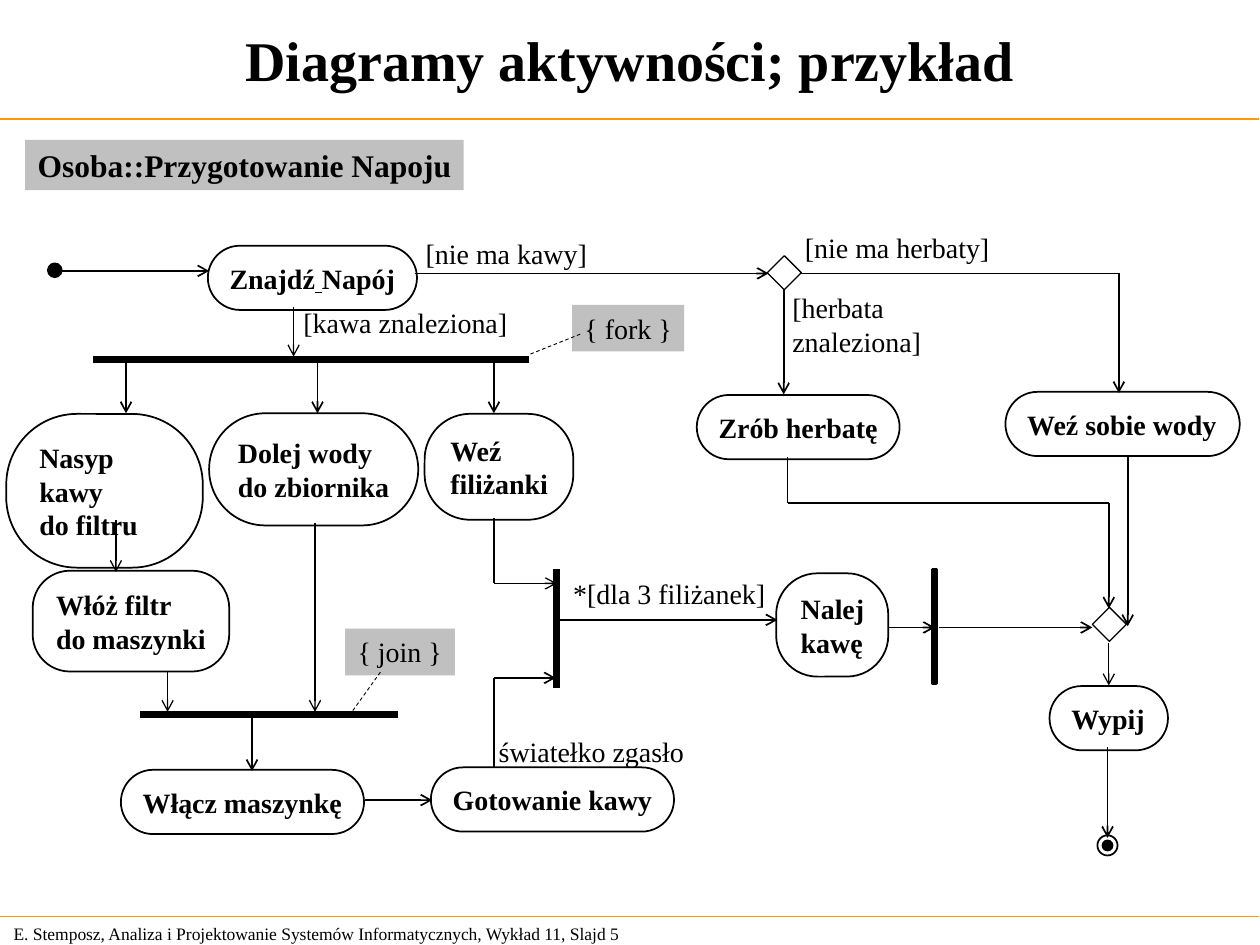
from lxml import etree
from pptx import Presentation
from pptx.dml.color import RGBColor
from pptx.enum.dml import MSO_LINE
from pptx.enum.shapes import MSO_CONNECTOR, MSO_SHAPE
from pptx.enum.text import MSO_ANCHOR, MSO_AUTO_SIZE, PP_ALIGN
from pptx.oxml.ns import qn
from pptx.util import Inches, Pt

STRAIGHT = MSO_CONNECTOR.STRAIGHT
DASH = MSO_LINE.DASH
RECTANGLE = MSO_SHAPE.RECTANGLE
ROUNDED = MSO_SHAPE.ROUNDED_RECTANGLE
ELLIPSE = MSO_SHAPE.OVAL
DIAMOND = MSO_SHAPE.DIAMOND
TOP, MIDDLE = MSO_ANCHOR.TOP, MSO_ANCHOR.MIDDLE
LEFT, CENTER = PP_ALIGN.LEFT, PP_ALIGN.CENTER
NO_FIT = MSO_AUTO_SIZE.NONE

FONT = "Times New Roman"
BLACK, WHITE, GREY, ORANGE = "000000", "FFFFFF", "C0C0C0", "FF9900"
COLUMNS, ROWS = 1000, 750
WIDTH, HEIGHT = Inches(10), Inches(7.5)
WIDE_MARGIN, NARROW_MARGIN = 10, 5

ACTIVITIES = [
    (165, 195, 166, 51, 0.5, None, ["Znajdź| |Napój"]),
    (5, 328.5, 156, 122, 0.46, WHITE, ["Nasyp kawy", "do filtru"]),
    (166, 328, 166, 89, 0.5, WHITE, ["Dolej wody", "do zbiornika"]),
    (26, 453, 156, 80, 0.37, None, ["Włóż filtr", "do maszynki"]),
    (96, 611, 193, 51, 0.5, None, ["Włącz maszynkę"]),
    (342, 609, 193, 51, 0.5, None, ["Gotowanie kawy"]),
    (616, 455, 89, 82, 0.4, None, ["Nalej", "kawę"]),
    (553, 313.5, 161, 51, 0.5, None, ["Zrób herbatę"]),
    (798, 311, 186, 51, 0.5, None, ["Weź sobie wody"]),
    (337, 328.5, 118, 84, 0.43, None, ["Weź", "filiżanki"]),
    (833, 544.5, 94, 51, 0.5, None, ["Wypij"]),
]
GUARDS = [
    (328, 183, 148, 36, ["[nie ma kawy]"]),
    (231, 238, 182, 36, ["[kawa znaleziona]"]),
    (629, 178, 166, 36, ["[nie ma herbaty]"]),
    (619, 226, 122, 63, ["[herbata", "znaleziona]"]),
    (386, 578, 167, 36, ["światełko zgasło"]),
    (445, 453, 172, 37, ["*[dla 3 filiżanek]"]),
]
TAGS = [
    (20, 111, 348, 40, "Osoba::Przygotowanie Napoju", 18, True),
    (454, 242, 89, 37, "{ fork }", 16, False),
    (274, 499, 87, 37, "{ join }", 16, False),
]
BARS = [
    [(74, 285), (420, 285)],
    [(111, 567), (316, 567)],
    [(442, 452), (442, 546)],
]
FLOWS = [
    [(44, 215), (166, 215)],
    [(329, 217), (610, 217)],
    [(200, 569), (200, 612)],
    [(290, 635), (343, 635)],
    [(392, 609), (392, 538), (441, 538)],
    [(442, 492), (617, 492)],
    [(705, 498), (742, 498)],
    [(745, 498), (867, 498)],
    [(879, 593), (879, 665)],
    [(622, 223), (622, 313)],
    [(630, 217), (888, 217), (888, 312)],
    [(895, 361), (895, 497)],
    [(625, 363), (625, 399), (880, 399), (880, 483)],
] + [[(column, 288), (column, 328)] for column in (100, 252, 392)]
THIN_FLOWS = [
    [(233, 244), (233, 283)],
    [(92, 413), (92, 454)],
    [(133, 533), (133, 565)],
    [(250, 415), (250, 565)],
    [(392, 411), (392, 463), (442, 463)],
    [(880, 510), (880, 544)],
]
NOTES = [[(421, 281), (461, 265)], [(280, 564), (303, 532)]]


def color(value):
    return RGBColor.from_string(value)


def across(columns):
    return round(WIDTH * columns / COLUMNS)


def down(rows):
    return round(HEIGHT * rows / ROWS)


def box(left, top, width, height):
    return across(left), down(top), across(width), down(height)


def write(shape, lines, size, bold=False, margin=NARROW_MARGIN, anchor=TOP, align=LEFT):
    frame = shape.text_frame
    frame.word_wrap = True
    frame.auto_size = NO_FIT
    frame.margin_right = across(margin)
    frame.vertical_anchor = anchor
    for index, line in enumerate(lines):
        paragraph = frame.add_paragraph() if index else frame.paragraphs[0]
        paragraph.alignment = align
        for part in line.split("|"):
            run = paragraph.add_run()
            run.text = part
            run.font.name = FONT
            run.font.size = Pt(size)
            run.font.bold = bold
            run.font.underline = part == " "
            run.font.color.rgb = color(BLACK)


def add_shape(slide, kind, place, fill=None, line=1):
    shape = slide.shapes.add_shape(kind, *box(*place))
    shape.shadow.inherit = False
    if fill:
        shape.fill.solid()
        shape.fill.fore_color.rgb = color(fill)
    else:
        shape.fill.background()
    if line:
        shape.line.color.rgb = color(BLACK)
        shape.line.width = Pt(line)
    else:
        shape.line.fill.background()
    return shape


def add_activity(slide, place, corner, fill, lines):
    shape = add_shape(slide, ROUNDED, place, fill)
    shape.adjustments[0] = corner
    margin = WIDE_MARGIN if lines[0] == "Nasyp kawy" else NARROW_MARGIN
    write(shape, lines, 16, bold=True, margin=margin)


def add_text(slide, place, lines, size, **options):
    write(slide.shapes.add_textbox(*box(*place)), lines, size, **options)


def add_path(slide, points, width=1, arrow=True, dash=None, stroke=BLACK):
    for start, end in zip(points, points[1:]):
        connector = slide.shapes.add_connector(
            STRAIGHT, across(start[0]), down(start[1]), across(end[0]), down(end[1]))
        connector.line.color.rgb = color(stroke)
        connector.line.width = Pt(width)
        if dash:
            connector.line.dash_style = dash
        properties = connector.element.spPr
        if arrow and end == points[-1]:
            etree.SubElement(properties.find(qn("a:ln")), qn("a:tailEnd"), type="arrow")
        etree.SubElement(properties, qn("a:effectLst"))


def add_frame(slide):
    add_text(slide, (1, 727.5, 524, 27),
             ["E. Stemposz, Analiza i Projektowanie Systemów Informatycznych, Wykład 11, Slajd 5"],
             10, anchor=MIDDLE)
    for row in (94.4, 727.6):
        add_path(slide, [(-1, row), (999, row)], 0.75, arrow=False, stroke=ORANGE)
    title = slide.shapes.title
    title.left, title.top, title.width, title.height = box(4, 4, 992, 85)
    write(title, ["Diagramy aktywności; przykład"], 32, bold=True, margin=WIDE_MARGIN,
          anchor=MIDDLE, align=CENTER)


def add_diagram(slide):
    for *place, corner, fill, lines in ACTIVITIES:
        add_activity(slide, place, corner, fill, lines)
    for *place, lines in GUARDS:
        add_text(slide, place, lines, 16)
    add_shape(slide, ELLIPSE, (38, 209, 11, 11), BLACK)
    add_shape(slide, ELLIPSE, (875, 667, 8, 8), BLACK)
    add_shape(slide, ELLIPSE, (871, 663, 16, 16))
    add_shape(slide, RECTANGLE, (740, 452, 3, 90), line=2)
    for points in BARS:
        add_path(slide, points, 4, arrow=False)
    for points in FLOWS:
        add_path(slide, points)
    for points in THIN_FLOWS:
        add_path(slide, points, 0.75)
    for *place, text, size, bold in TAGS:
        write(add_shape(slide, RECTANGLE, place, GREY, line=0), [text], size, bold)
    add_shape(slide, DIAMOND, (867, 482, 27, 27), line=0.75)
    add_shape(slide, DIAMOND, (609, 203, 27, 27), WHITE, 0.75)
    for points in NOTES:
        add_path(slide, points, 0.5, arrow=False, dash=DASH)


def main():
    presentation = Presentation()
    presentation.slide_width, presentation.slide_height = WIDTH, HEIGHT
    slide = presentation.slides.add_slide(presentation.slide_layouts[5])
    add_frame(slide)
    add_diagram(slide)
    presentation.save("out.pptx")


if __name__ == "__main__":
    main()
